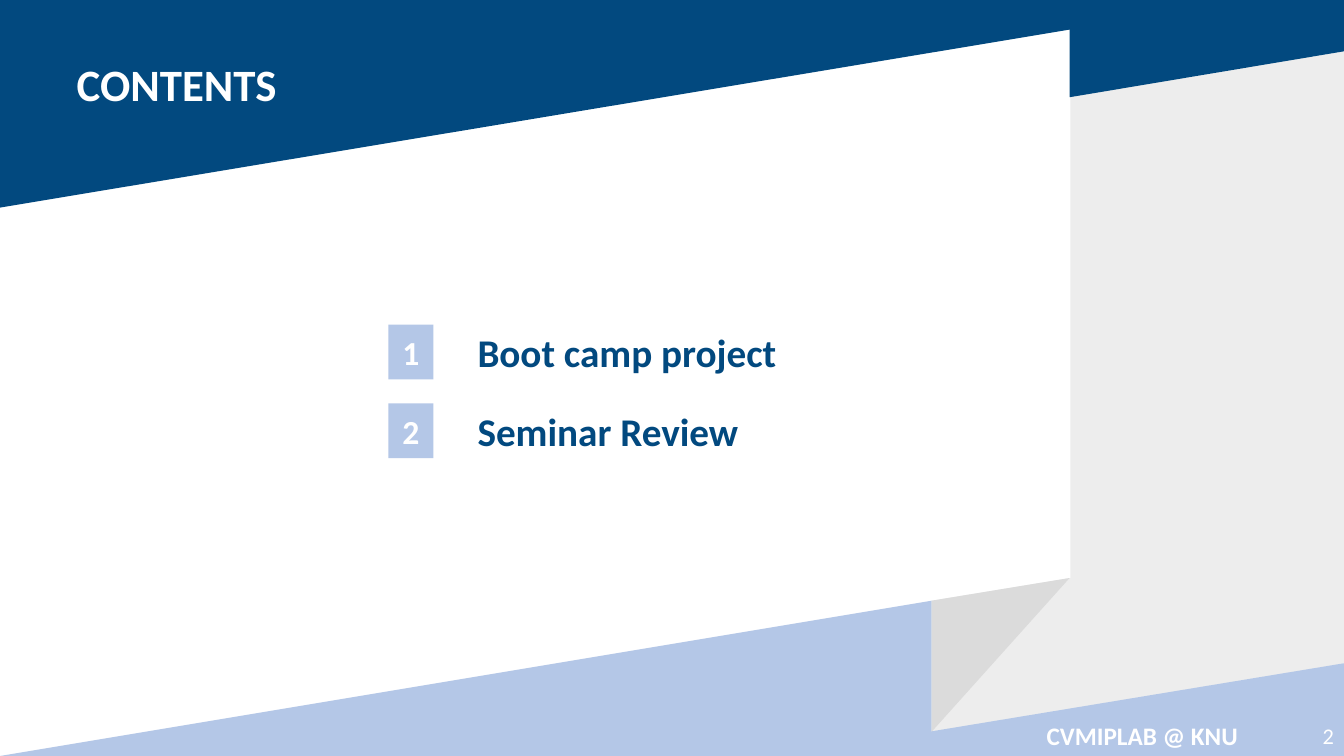
from pptx import Presentation
from pptx import util as u
from pptx.dml import color
from pptx.enum import shapes, text

Pt = u.Pt
NAVY, SKY, WHITE = "02497F", "B4C7E7", "FFFFFF"
BANDS = [
    ("EDEDED", [(764.5, 69), (960, 36.7), (960, 474), (665.5, 522.7), (665.5, 429.1), (764.5, 412.9)]),
    (NAVY, [(0, 0), (960, 0), (960, 36.7), (764, 69.5), (764, 21.2), (0, 148.3)]),
    (SKY, [(0, 540), (665.5, 429.1), (665.5, 522.4), (960, 473.8), (960, 540)]),
    ("DBDBDB", [(764, 412.9), (665.5, 522.7), (665.5, 429.1)]),
]
TOPICS = ["Boot camp project", "Seminar Review"]


def paint(fill, hue):
    """Fill with a solid hex colour."""
    fill.solid()
    fill.fore_color.rgb = color.RGBColor.from_string(hue)


def plain(shape, hue):
    """Give a shape one flat colour."""
    shape.shadow.inherit = False
    paint(shape.fill, hue)
    shape.line.fill.background()


def write(shape, words, size, hue=WHITE, bold=True, align="LEFT", wrap=True):
    """Write one line, centred vertically, in a shape."""
    frame = shape.text_frame
    frame.word_wrap = wrap
    frame.auto_size = text.MSO_AUTO_SIZE.NONE
    frame.vertical_anchor = text.MSO_ANCHOR.MIDDLE
    para = frame.paragraphs[0]
    para.alignment = text.PP_ALIGN[align]
    run = para.add_run()
    run.text = words
    run.font.name, run.font.size, run.font.bold = "Calibri", Pt(size), bold
    paint(run.font.fill, hue)


def label(slide, box, words, size, **style):
    """Add a text box with one line."""
    write(slide.shapes.add_textbox(*map(Pt, box)), words, size, **style)


def draw_bands(slide, left, top):
    """Draw the slanted ribbon and its fold from a corner."""
    for hue, points in BANDS:
        dots = [(Pt(left + x), Pt(top + y)) for x, y in points]
        pen = slide.shapes.build_freeform(*dots[0])
        pen.add_line_segments(dots[1:])
        plain(pen.convert_to_shape(), hue)


def set_title(slide, box, words):
    """Place the title in front of the bands."""
    title = slide.shapes.title
    title.left, title.top, title.width, title.height = map(Pt, box)
    title.element.getparent().append(title.element)
    write(title, words, 32, wrap=False)


def list_topics(slide, left, top, width, pitch):
    """List the numbered topics at an even pitch."""
    for i, topic in enumerate(TOPICS):
        y = top + i * pitch
        badge = slide.shapes.add_shape(
            shapes.MSO_SHAPE.RECTANGLE, Pt(left), Pt(y), Pt(32.2), Pt(39))
        plain(badge, SKY)
        write(badge, str(i + 1), 24, align="CENTER")
        label(slide, (left + 56.6, y, width - 56.6, 39), topic, 28, hue=NAVY)


def add_foot(slide, left, top, width, height):
    """Add the lab name and page number."""
    page = 43.2
    label(slide, (left, top, width - page, height), "CVMIPLAB @ KNU", 18, align="CENTER")
    label(slide, (left + width - page, top, page, height), "2", 16, bold=False, align="RIGHT")


def main():
    """Build and save the contents slide."""
    deck = Presentation()
    deck.slide_width, deck.slide_height = Pt(960), Pt(540)
    slide = deck.slides.add_slide(deck.slide_layouts[5])
    draw_bands(slide, 0, 0)
    set_title(slide, (47.6, 37, 159, 46), "CONTENTS")
    list_topics(slide, 277.4, 232, 460, 56.2)
    add_foot(slide, 715, 511.2, 245, 28.8)
    deck.save("out.pptx")


if __name__ == "__main__":
    main()
